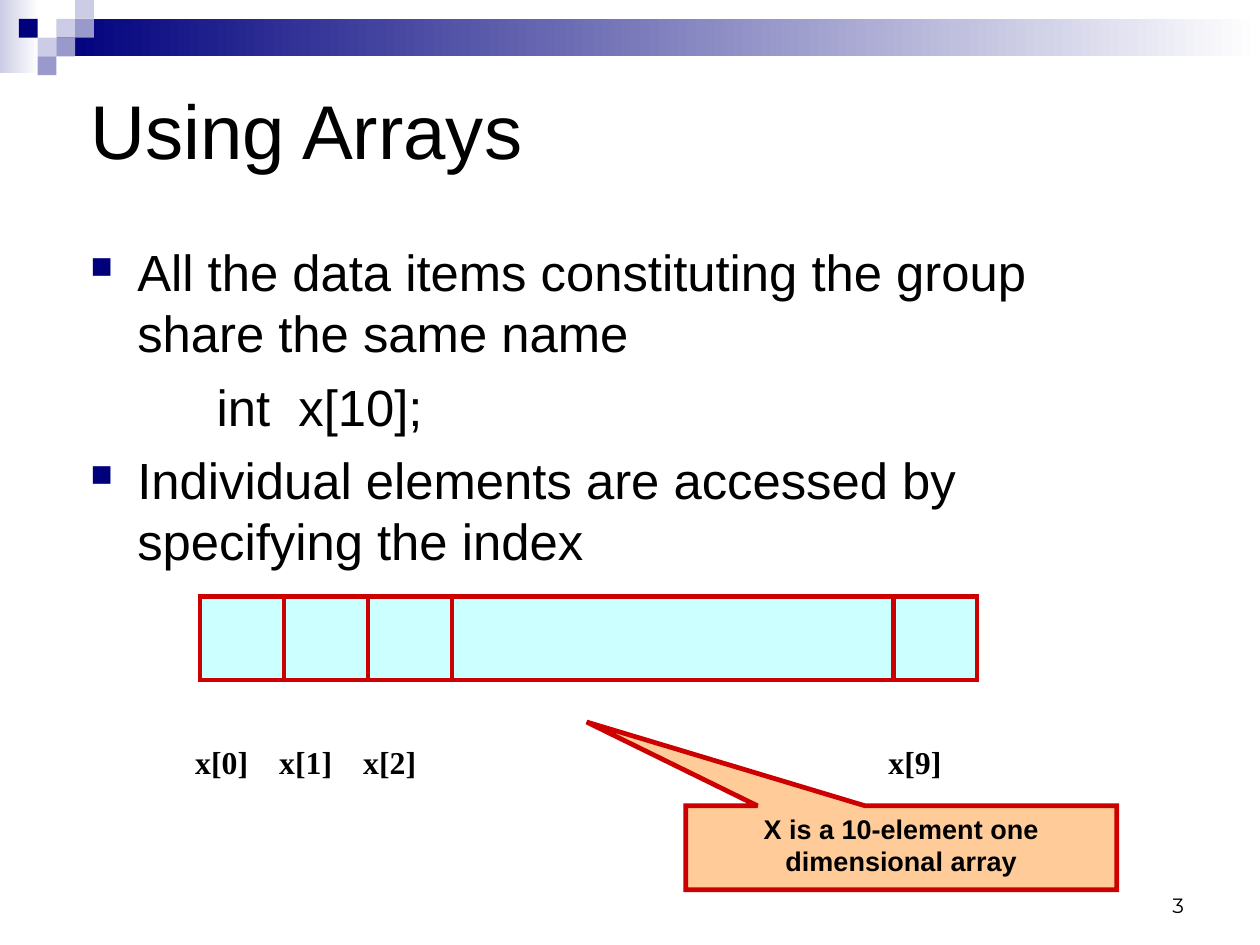
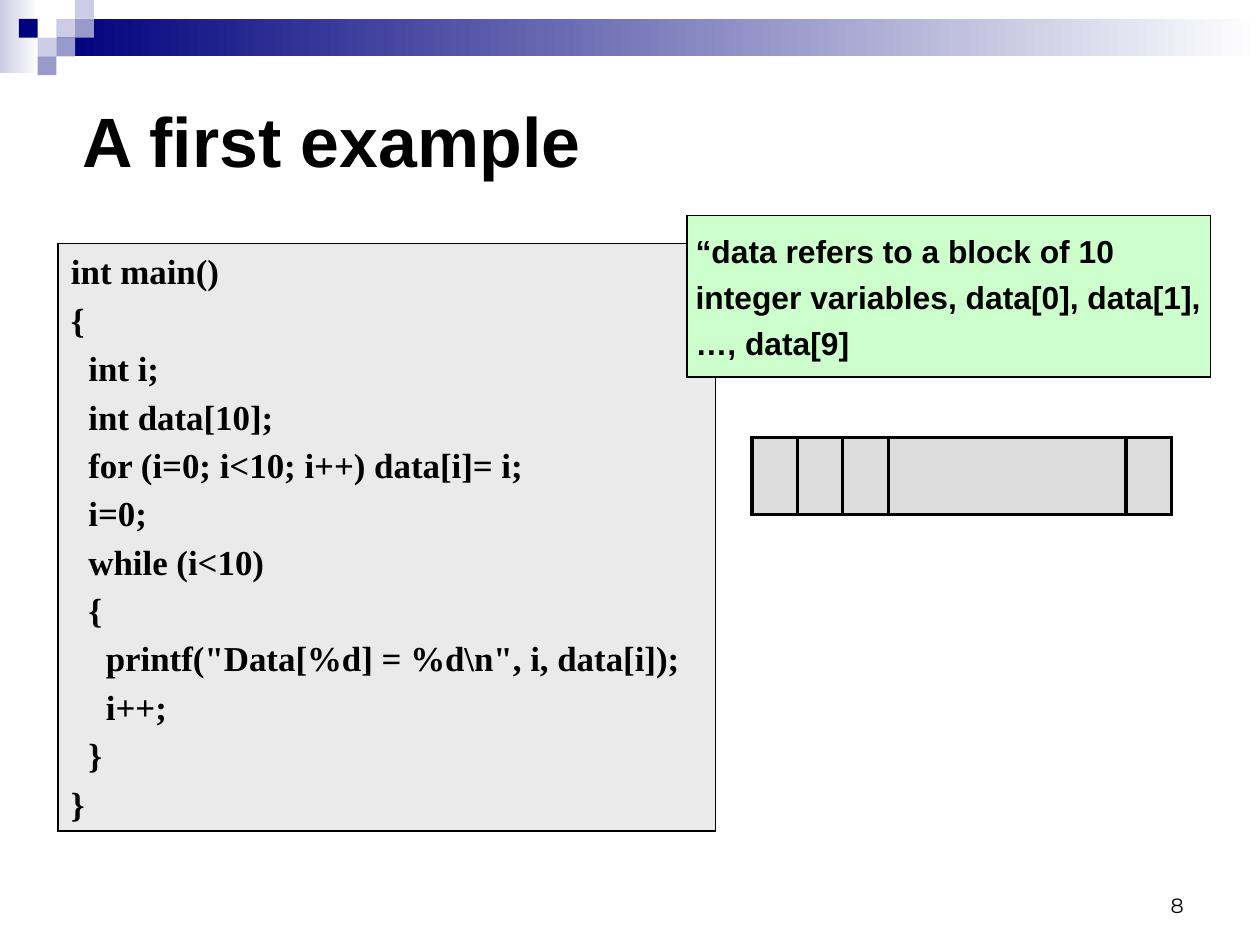
from lxml import etree
from pptx import Presentation
from pptx.dml.color import RGBColor
from pptx.enum.shapes import MSO_CONNECTOR, MSO_SHAPE
from pptx.enum.text import MSO_ANCHOR, PP_ALIGN
from pptx.oxml.ns import qn
from pptx.util import Pt

RECT = MSO_SHAPE.RECTANGLE
CALLOUT = MSO_SHAPE.RECTANGULAR_CALLOUT
STRAIGHT = MSO_CONNECTOR.STRAIGHT
TOP, MIDDLE, BOTTOM = MSO_ANCHOR.TOP, MSO_ANCHOR.MIDDLE, MSO_ANCHOR.BOTTOM
LEFT, CENTER, RIGHT = PP_ALIGN.LEFT, PP_ALIGN.CENTER, PP_ALIGN.RIGHT

BLACK = RGBColor(0x00, 0x00, 0x00)
WHITE = RGBColor(0xFF, 0xFF, 0xFF)
NAVY = RGBColor(0x00, 0x00, 0x7D)
LAVENDER = RGBColor(0xCC, 0xCC, 0xE6)
PERIWINKLE = RGBColor(0x99, 0x99, 0xCC)
RED = RGBColor(0xCC, 0x00, 0x00)
CYAN = RGBColor(0xCC, 0xFF, 0xFF)
PEACH = RGBColor(0xFF, 0xCC, 0x99)
MINT = RGBColor(0xCC, 0xFF, 0xCC)
PALE_GRAY = RGBColor(0xEA, 0xEA, 0xEA)
GRAY = RGBColor(0xDD, 0xDD, 0xDD)

SANS, SERIF, NUMBER_FONT = "Arial", "Times New Roman", "Montserrat"
SLIDE_W, SLIDE_H = 793.75, 595.25
TILE = 11.85
TILES = [(3, 1, LAVENDER), (4, 0, LAVENDER), (4, 1, PERIWINKLE),
         (2, 2, LAVENDER), (1, 1, NAVY), (3, 2, PERIWINKLE),
         (2, 3, PERIWINKLE)]
CODE = [(0, "int main()"), (0, "{"), (1, "int i;"), (1, "int data[10];"),
        (1, "for (i=0; i<10; i++) data[i]= i;"), (1, "i=0;"),
        (1, "while (i<10)"), (1, "{"),
        (2, r'printf("Data[%d] = %d\n", i, data[i]);'), (2, "i++;"),
        (1, "}"), (0, "}")]


def add_box(s, box, fill, line=None, weight=1, preset=RECT):
    """Add a preset shape, outlined with sharp corners if a line is given."""
    sp = s.shapes.add_shape(preset, *map(Pt, box))
    sp.shadow.inherit = False
    sp.fill.solid()
    sp.fill.fore_color.rgb = fill
    if line is None:
        sp.line.fill.background()
    else:
        sp.line.color.rgb = line
        sp.line.width = Pt(weight)
        ln = sp._element.spPr.find(qn("a:ln"))
        etree.SubElement(ln, qn("a:miter"), lim="800000")
    return sp


def add_fade(s, box, color):
    """Add a box that fades from a colour to white, left to right."""
    sp = add_box(s, box, color)
    sp.fill.gradient()
    sp.fill.gradient_angle = 0
    for stop, shade in zip(sp.fill.gradient_stops, (color, WHITE)):
        stop.color.rgb = shade


def add_bullet(p):
    """Give a paragraph the square navy bullet."""
    pPr = p._p.get_or_add_pPr()
    color = etree.SubElement(pPr, qn("a:buClr"))
    etree.SubElement(color, qn("a:srgbClr"), val=str(NAVY))
    etree.SubElement(pPr, qn("a:buSzPct"), val="60000")
    etree.SubElement(pPr, qn("a:buChar"), char="■")


def write(sp, text, size, font=SANS, bold=False, align=LEFT, anchor=TOP,
          before=0, margins=(8, 4, 8, 4), indents=(), bullets=()):
    """Fill a shape with one paragraph for each line of text."""
    tf = sp.text_frame
    tf.word_wrap = True
    tf.vertical_anchor = anchor
    (tf.margin_left, tf.margin_top,
     tf.margin_right, tf.margin_bottom) = map(Pt, margins)
    for i, line in enumerate(text.split("\n")):
        p = tf.add_paragraph() if i else tf.paragraphs[0]
        p.alignment = align
        p.space_before = Pt(before)
        if indents:
            left, first = indents[i]
            pPr = p._p.get_or_add_pPr()
            pPr.set("marL", str(Pt(left)))
            pPr.set("indent", str(Pt(first)))
        if i in bullets:
            add_bullet(p)
        r = p.add_run()
        r.text = line
        r.font.name = font
        r.font.size = Pt(size)
        r.font.bold = bold
        r.font.color.rgb = BLACK


def add_text(s, box, text, size, **fmt):
    """Add a text box."""
    write(s.shapes.add_textbox(*map(Pt, box)), text, size, **fmt)


def add_line(s, x1, y1, x2, y2, color, weight):
    """Add a straight line without a shadow."""
    cn = s.shapes.add_connector(STRAIGHT, Pt(x1), Pt(y1), Pt(x2), Pt(y2))
    cn.line.color.rgb = color
    cn.line.width = Pt(weight)
    etree.SubElement(cn._element.spPr, qn("a:effectLst"))


def add_frame(prs, number, title, title_box, size, bold=False):
    """Start a slide with the top band, tiles, page number and title."""
    s = prs.slides.add_slide(prs.slide_layouts[6])
    add_fade(s, (0, 0, 24.5, 46), LAVENDER)
    add_fade(s, (36, TILE, SLIDE_W - 36, 2 * TILE), NAVY)
    for col, row, color in TILES:
        add_box(s, (col * TILE, row * TILE, TILE, TILE), color)
    add_text(s, (568.8, 542.2, 185, 39.6), str(number), 13,
             font=NUMBER_FONT, align=RIGHT, anchor=BOTTOM)
    add_text(s, title_box, title, size, bold=bold, anchor=MIDDLE)
    return s


def add_array(s, box, cell, fill, line, weight):
    """Draw an array of three first cells and a last one; return their lefts."""
    x, y, w, h = box
    add_box(s, box, fill, line, weight)
    dividers = [x + cell * i for i in (1, 2, 3)] + [x + w - cell]
    for left in dividers:
        add_line(s, left, y, left, y + h, line, weight)
    return [x, *dividers[:2], dividers[-1]]


def add_labeled_array(s, box):
    """Draw the array with its index labels and the callout below."""
    x, y, w, h = box
    lefts = add_array(s, box, 52.9, CYAN, RED, 3)
    for left, index in zip(lefts, (0, 1, 2, 9)):
        add_text(s, (left - 11, y + 88.5, 60, 32), f"x[{index}]", 20,
                 font=SERIF, bold=True)
    sp = add_box(s, (x + 306, y + 132, 271.5, h), PEACH, RED, 3, CALLOUT)
    sp.adjustments[0], sp.adjustments[1] = -0.73, -1.5
    write(sp, "X is a 10-element one dimensional array", 17, bold=True,
          align=CENTER)


def using_arrays(prs):
    """Build the slide that introduces arrays."""
    s = add_frame(prs, 3, "Using Arrays", (49, 21.6, 714, 118.8), 48)
    add_text(s, (49, 147.6, 674.6, 423.4),
             "All the data items constituting the group share the same name\n"
             "int  x[10];\n"
             "Individual elements are accessed by specifying the index",
             32, before=8, bullets=(0, 2),
             indents=[(29.5, -29.5), (79.5, 0), (29.5, -29.5)])
    add_labeled_array(s, (126, 375.6, 489.6, 52.8))


def first_example(prs):
    """Build the slide with the code listing."""
    s = add_frame(prs, 8, "A first example", (44, 57.6, 749.5, 60.5), 44, True)
    sp = add_box(s, (36.7, 153.5, 414, 370), PALE_GRAY, BLACK)
    write(sp, "\n".join(line for _, line in CODE), 22, font=SERIF, bold=True,
          before=4.1, indents=[(11 * level, 0) for level, _ in CODE])
    sp = add_box(s, (432.7, 135.7, 329.8, 102), MINT, BLACK)
    write(sp, "“data refers to a block of 10\n"
          "integer variables, data[0], data[1],\n…, data[9]",
          20, bold=True, anchor=MIDDLE, before=5, margins=(5.5, 0, 0, 0))
    add_array(s, (473.8, 275.8, 264.2, 48.2), 28.6, GRAY, BLACK, 2)


def main():
    """Build and save the presentation."""
    prs = Presentation()
    prs.slide_width, prs.slide_height = Pt(SLIDE_W), Pt(SLIDE_H)
    using_arrays(prs)
    first_example(prs)
    prs.save("out.pptx")


if __name__ == "__main__":
    main()
